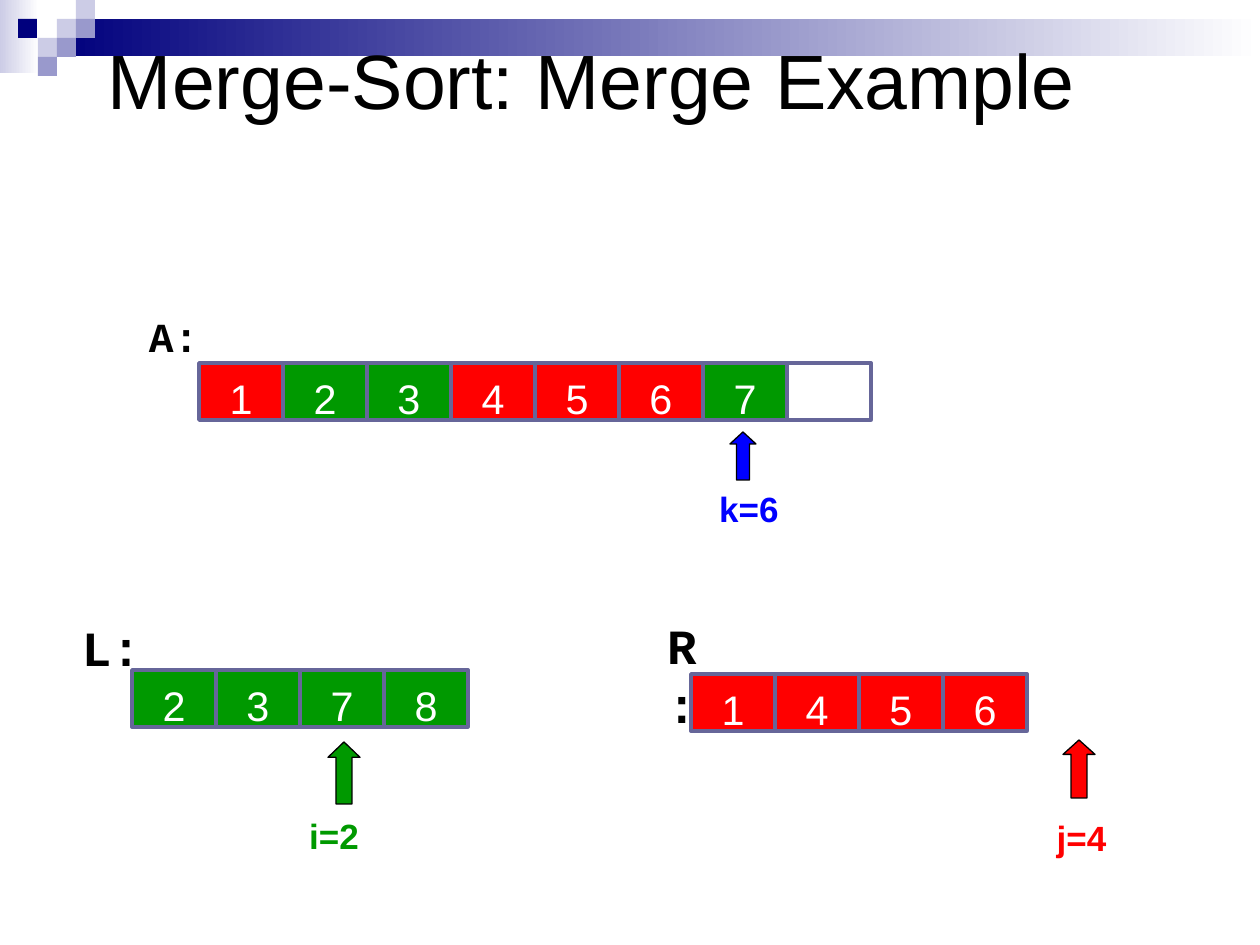
from pptx import Presentation
from pptx import util as u
from pptx.dml.color import RGBColor
from pptx.enum import shapes, text

PX = 914400 / 126
COLOURS = {
    "navy": "00007D", "lilac": "CCCCE6", "violet": "9999CC", "white": "FFFFFF",
    "black": "000000", "red": "FF0000", "green": "009900", "blue": "0000FF",
    "slate": "666699",
}
CELL_WIDTH, CELL_HEIGHT = 84, 57

TITLE = "Merge-Sort: Merge Example"
GRADIENT_BARS = [(0, 0, 39, 73, "lilac"), (57, 19, 1203, 37, "navy")]
SQUARES = [
    (57, 19, "lilac"), (76, 0, "lilac"), (76, 19, "violet"), (38, 38, "lilac"),
    (18, 19, "navy"), (57, 38, "violet"), (38, 57, "violet"),
]
ARRAYS = [
    (199, 363, [("1", "red"), ("2", "green"), ("3", "green"), ("4", "red"),
                ("5", "red"), ("6", "red"), ("7", "green"), ("", "white")]),
    (132, 670, [(digit, "green") for digit in "2378"]),
    (691, 674, [(digit, "red") for digit in "1456"]),
]
NAMES = [
    ("L:", 82, 601, 61, 132, 0, 16, 28.1),
    ("A:", 136, 296, 87, 63, 13, 15, 23.6),
    ("R:", 667, 598, 58, 132, 0, 17, 28.1),
]
POINTERS = [
    ("k=6", "blue", (698, 476, 102, 55), 11, (730, 432, 26, 48), 0.46),
    ("i=2", "green", (304, 805, 60, 55), 9, (328, 742, 32, 62), 0.48),
    ("j=4", "red", (1034, 808, 95, 55), 9, (1063, 740, 32, 58), 0.45),
]


def px(value):
    return u.Emu(round(value * PX))


def colour(name):
    return RGBColor.from_string(COLOURS[name])


def add_shape(slide, kind, box, fill, line=None, line_width=0.75):
    shape = slide.shapes.add_shape(kind, *map(px, box))
    shape.shadow.inherit = False
    shape.fill.solid()
    shape.fill.fore_color.rgb = colour(fill)
    if line:
        shape.line.color.rgb = colour(line)
        shape.line.width = u.Pt(line_width)
    else:
        shape.line.fill.background()
    return shape


def write(shape, words, size, ink, side, top, font="Arial", bold=False,
          align=text.PP_ALIGN.CENTER):
    frame = shape.text_frame
    frame.word_wrap = True
    frame.vertical_anchor = text.MSO_ANCHOR.TOP
    frame.margin_left = frame.margin_right = px(side)
    frame.margin_top, frame.margin_bottom = px(top), 0
    paragraph = frame.paragraphs[0]
    paragraph.alignment = align
    run = paragraph.add_run()
    run.text = words
    run.font.name, run.font.size, run.font.bold = font, u.Pt(size), bold
    run.font.color.rgb = colour(ink)


def add_decoration(slide):
    for *box, start in GRADIENT_BARS:
        bar = add_shape(slide, shapes.MSO_SHAPE.RECTANGLE, box, start)
        bar.fill.gradient()
        bar.fill.gradient_angle = 0
        for stop, name in zip(bar.fill.gradient_stops, (start, "white")):
            stop.color.rgb = colour(name)
    for left, top, fill in SQUARES:
        add_shape(slide, shapes.MSO_SHAPE.RECTANGLE, (left, top, 19, 19), fill)


def add_title(slide):
    title = slide.shapes.title
    slide.shapes.element.append(title.element)
    title.left, title.top, title.width, title.height = map(px, (95, 0, 1071, 158))
    write(title, TITLE, 44, "black", 13, 6, align=text.PP_ALIGN.LEFT)
    title.text_frame.margin_bottom = px(6)
    title.text_frame.vertical_anchor = text.MSO_ANCHOR.MIDDLE


def add_arrays(slide):
    for left, top, cells in ARRAYS:
        for index, (digit, fill) in enumerate(cells):
            box = (left + index * CELL_WIDTH, top, CELL_WIDTH, CELL_HEIGHT)
            cell = add_shape(slide, shapes.MSO_SHAPE.RECTANGLE, box, fill, "slate", 2)
            if digit:
                write(cell, digit, 23.6, "white", 13, 10)


def add_names(slide):
    for words, left, top, width, height, side, inset, size in NAMES:
        label = slide.shapes.add_textbox(*map(px, (left, top, width, height)))
        write(label, words, size, "black", side, inset, "Courier New", True,
              text.PP_ALIGN.LEFT)


def add_pointers(slide):
    for words, ink, label_box, inset, arrow_box, head in POINTERS:
        label = slide.shapes.add_textbox(*map(px, label_box))
        write(label, words, 20, ink, 0, inset, bold=True)
        arrow = add_shape(slide, shapes.MSO_SHAPE.UP_ARROW, arrow_box, ink, "black")
        arrow.adjustments[0], arrow.adjustments[1] = 0.5, head


def main():
    presentation = Presentation()
    presentation.slide_width, presentation.slide_height = px(1260), px(945)
    slide = presentation.slides.add_slide(presentation.slide_layouts[5])
    add_decoration(slide)
    add_title(slide)
    add_arrays(slide)
    add_names(slide)
    add_pointers(slide)
    presentation.save("out.pptx")


if __name__ == "__main__":
    main()
